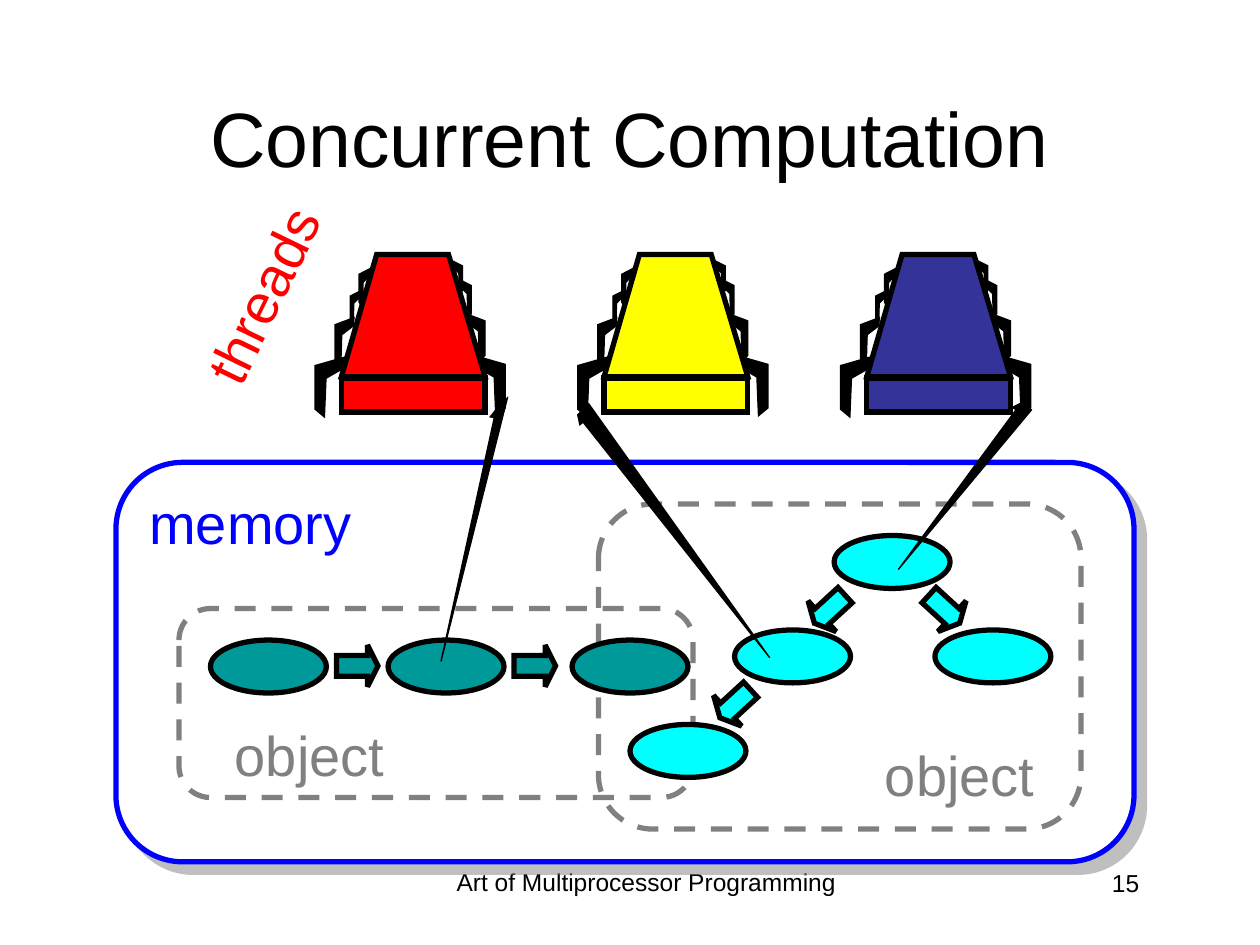
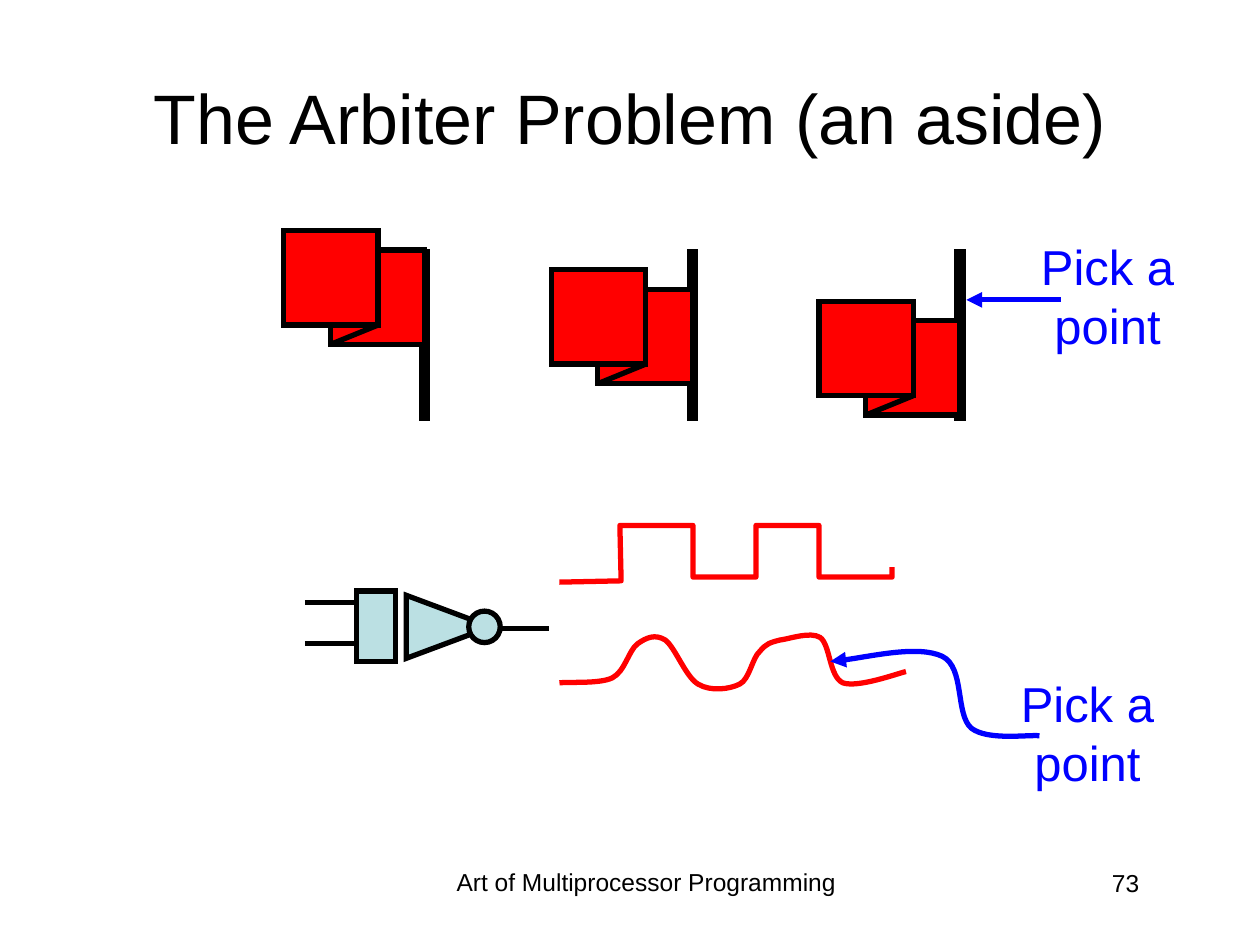
"""Builds two slides on concurrent computation and the arbiter problem."""
from lxml.etree import SubElement
from pptx import Presentation
from pptx.dml.color import RGBColor
from pptx.enum.dml import MSO_LINE
from pptx.enum.shapes import MSO_CONNECTOR, MSO_SHAPE as Preset
from pptx.enum.text import MSO_ANCHOR as Anchor, PP_ALIGN as Align
from pptx.oxml.ns import qn
from pptx.util import Inches, Pt

BLACK = RGBColor(0x00, 0x00, 0x00)
WHITE = RGBColor(0xFF, 0xFF, 0xFF)
RED = RGBColor(0xFF, 0x00, 0x00)
YELLOW = RGBColor(0xFF, 0xFF, 0x00)
NAVY = RGBColor(0x33, 0x33, 0x99)
BLUE = RGBColor(0x00, 0x00, 0xFF)
GRAY = RGBColor(0x80, 0x80, 0x80)
TEAL = RGBColor(0x00, 0x99, 0x99)
CYAN = RGBColor(0x00, 0xFF, 0xFF)
PALE_BLUE = RGBColor(0xBB, 0xE0, 0xE3)

FONT = "Arial"
FOOTER = "Art of Multiprocessor Programming"
THICK = 3

THREAD_COLORS = [RED, YELLOW, NAVY]
THREAD_LEFT, THREAD_TOP, THREAD_PITCH = 2.71, 2.02, 2.085
BODY_OUTLINE = [(0, 0.97), (0.28, 0), (0.85, 0), (1.14, 0.97)]
LEG_OUTLINE = [(0, 0), (1, 0.15), (1, 0.87), (0.7, 1), (0.65, 0.36), (0.05, 0.18)]
RIGHT_LEGS = [(1.05, 0.8, 0.25, 0.48), (0.99, 0.47, 0.15, 0.38),
              (0.94, 0.2, 0.09, 0.31), (0.88, 0.05, 0.08, 0.27)]
LEFT_LEGS = [(-0.21, 0.81, 0.25, 0.48), (-0.05, 0.5, 0.15, 0.38),
             (0.14, 0.11, 0.09, 0.31), (0.07, 0.29, 0.08, 0.27)]
REACHING_LEGS = [
    [(4.03, 3.15), (3.5, 5.25), (3.94, 3.24)],
    [(4.67, 3.2), (6.11, 5.22), (4.58, 3.29)],
    [(8.19, 3.25), (7.13, 4.52), (8.11, 3.19)],
]

OBJECT_BOXES = [(1.42, 4.83, 4.08, 1.5), (4.75, 4, 3.83, 2.58)]
LIST_NODES = [(1.67, 5.08), (3.08, 5.08), (4.54, 5.08)]
LIST_ARROWS = [(2.67, 5.12, 0), (4.08, 5.12, 0)]
TREE_NODES = [(7.42, 5), (6.62, 4.25), (5.83, 5), (5, 5.75)]
TREE_ARROWS = [(7.33, 4.67, 42.5), (6.42, 4.67, 137.5), (5.67, 5.42, 137.5)]
STRUCTURES = [(TEAL, LIST_NODES, LIST_ARROWS), (CYAN, TREE_NODES, TREE_ARROWS)]
MEMORY_LABELS = [
    ("memory", (1.08, 3.83, 1.81, 0.63), BLUE, 0),
    ("object", (1.75, 5.67, 1.4, 0.64), GRAY, 0),
    ("object", (6.91, 5.83, 1.4, 0.64), GRAY, 0),
    ("threads", (1.23, 2.03, 1.7, 0.64), RED, 295.9),
]

FLAG_LEFT, FLAG_PITCH, FLAG_SIZE = 2.25, 2.125, 0.75
FLAG_TOPS = [1.83, 2.14, 2.39]
FOLD_X, FOLD_Y = 0.37, 0.155
POLE_TOP = 1.99
GATE_WIRES = [((3.94, 4.99), (4.36, 4.99)), ((2.42, 4.78), (2.83, 4.78)),
              ((2.42, 5.11), (2.83, 5.11))]
GATE_PARTS = [(Preset.RECTANGLE, (2.83, 4.69, 0.31, 0.56), 0),
              (Preset.ISOSCELES_TRIANGLE, (3.31, 4.64, 0.5, 0.67), 90),
              (Preset.OVAL, (3.72, 4.85, 0.25, 0.25), 0)]
SQUARE_SIGNAL = [(4.44, 4.62), (4.93, 4.61), (4.92, 4.17), (5.5, 4.17),
                 (5.5, 4.58), (6, 4.58), (6, 4.17), (6.5, 4.17),
                 (6.5, 4.58), (7.08, 4.58), (7.08, 4.5)]
SMOOTH_SIGNAL = [
    (4.44, 5.42),
    (4.51, 5.41), (4.76, 5.43), (4.86, 5.38), (4.96, 5.33), (4.99, 5.16), (5.06, 5.11),
    (5.13, 5.06), (5.2, 5.03), (5.28, 5.08), (5.36, 5.14), (5.44, 5.37), (5.54, 5.43),
    (5.64, 5.49), (5.79, 5.47), (5.87, 5.43), (5.95, 5.39), (5.97, 5.22), (6.03, 5.17),
    (6.08, 5.11), (6.11, 5.1), (6.19, 5.08), (6.27, 5.07), (6.43, 5.01), (6.51, 5.06),
    (6.59, 5.12), (6.58, 5.37), (6.69, 5.42), (6.81, 5.46), (7.11, 5.35), (7.19, 5.33),
]
CURVED_POINTER = [(8.25, 5.84), (8.16, 5.83), (7.84, 5.88), (7.71, 5.78),
                  (7.58, 5.67), (7.66, 5.3), (7.48, 5.21),
                  (7.29, 5.12), (6.77, 5.24), (6.59, 5.25)]
POINT_LABELS = [(8, 1.83, 1.58, 1.03), (7.84, 5.3, 1.58, 1.03)]


def inches(values):
    return [Inches(value) for value in values]


def style(shape, fill, line=BLACK, width=THICK, dash=None, sharp=True):
    shape.shadow.inherit = False
    if fill is None:
        shape.fill.background()
    else:
        shape.fill.solid()
        shape.fill.fore_color.rgb = fill
    shape.line.color.rgb = line
    shape.line.width = Pt(width)
    if dash:
        shape.line.dash_style = dash
    if sharp:
        SubElement(shape.element.spPr.find(qn("a:ln")), qn("a:miter"), lim="800000")


def add_arrowhead(shape):
    SubElement(shape.element.spPr.find(qn("a:ln")), qn("a:tailEnd"), type="triangle")


def add_preset(slide, preset, box, fill, rotation=0, adjustments=(), **line_style):
    shape = slide.shapes.add_shape(preset, *inches(box))
    shape.rotation = rotation
    for index, value in enumerate(adjustments):
        shape.adjustments[index] = value
    style(shape, fill, **line_style)
    return shape


def add_outline(slide, points, fill=None, close=False, **line_style):
    start, *rest = [inches(point) for point in points]
    builder = slide.shapes.build_freeform(*start)
    builder.add_line_segments(rest, close=close)
    shape = builder.convert_to_shape()
    style(shape, fill, **line_style)
    return shape


def add_curve(slide, points, color):
    shape = add_outline(slide, points, line=color, sharp=False)
    segments = list(shape.element.iter(qn("a:lnTo")))
    for first in range(0, len(segments), 3):
        curve = SubElement(segments[first].getparent(), qn("a:cubicBezTo"))
        for segment in segments[first:first + 3]:
            curve.append(segment[0])
            segment.getparent().remove(segment)
    return shape


def add_line(slide, start, end, color=BLACK):
    connector = slide.shapes.add_connector(
        MSO_CONNECTOR.STRAIGHT, *inches(start), *inches(end))
    connector.line.color.rgb = color
    connector.line.width = Pt(THICK)
    SubElement(connector.element.spPr, qn("a:effectLst"))
    return connector


def add_text(slide, text, box, size, color=BLACK, align=Align.CENTER,
             anchor=Anchor.TOP, wrap=True, rotation=0):
    text_box = slide.shapes.add_textbox(*inches(box))
    text_box.rotation = rotation
    frame = text_box.text_frame
    frame.word_wrap = wrap
    frame.vertical_anchor = anchor
    paragraph = frame.paragraphs[0]
    paragraph.text = text
    paragraph.alignment = align
    paragraph.font.name = FONT
    paragraph.font.size = Pt(size)
    paragraph.font.color.rgb = color


def add_slide(presentation, title, title_box, title_size, number):
    slide = presentation.slides.add_slide(presentation.slide_layouts[6])
    add_text(slide, FOOTER, (3.42, 6.83, 3.42, 0.52), 14)
    add_text(slide, number, (7.06, 6.84, 2.08, 0.5), 14, align=Align.RIGHT)
    add_text(slide, title, title_box, title_size, anchor=Anchor.MIDDLE)
    return slide


def add_memory(slide):
    memory = add_preset(slide, Preset.ROUNDED_RECTANGLE, (0.92, 3.67, 8.08, 3.17),
                        WHITE, adjustments=[0.167], line=BLUE)
    shadow = SubElement(memory.element.spPr.find(qn("a:effectLst")), qn("a:outerShdw"),
                        blurRad="0", dist=str(Pt(8.5)), dir=str(45 * 60000),
                        algn="ctr", rotWithShape="0")
    color = SubElement(shadow, qn("a:srgbClr"), val=str(GRAY))
    SubElement(color, qn("a:alpha"), val="50000")


def add_thread(slide, left, color):
    for legs, mirrored in ((RIGHT_LEGS, False), (LEFT_LEGS, True)):
        for x, y, width, height in legs:
            points = [(left + x + width * (1 - across if mirrored else across),
                       THREAD_TOP + y + height * down) for across, down in LEG_OUTLINE]
            add_outline(slide, points, BLACK, close=True, width=0.75)
    body = [(left + x, THREAD_TOP + y) for x, y in BODY_OUTLINE]
    add_outline(slide, body, color, close=True)
    add_preset(slide, Preset.RECTANGLE, (left, THREAD_TOP + 0.98, 1.14, 0.27), color)


def add_flag(slide, left, top):
    back_left, back_top = left + FOLD_X, top + FOLD_Y
    square = (FLAG_SIZE, FLAG_SIZE)
    add_preset(slide, Preset.RECTANGLE, (left + 1.09, POLE_TOP, 0.06, 1.34), BLACK,
               width=2.25)
    add_preset(slide, Preset.RECTANGLE, (back_left, back_top, *square), RED)
    add_line(slide, (back_left, back_top + FLAG_SIZE),
             (left + FLAG_SIZE, top + FLAG_SIZE))
    add_preset(slide, Preset.RECTANGLE, (left, top, *square), RED)


def build_computation(presentation):
    slide = add_slide(presentation, "Concurrent Computation",
                      (0.75, 0.46, 8.5, 1.25), 44, "15")
    add_memory(slide)
    for box in OBJECT_BOXES:
        add_preset(slide, Preset.ROUNDED_RECTANGLE, box, None, adjustments=[0.167],
                   line=GRAY, dash=MSO_LINE.DASH)
    for color, nodes, arrows in STRUCTURES:
        for left, top in nodes:
            add_preset(slide, Preset.OVAL, (left, top, 0.92, 0.42), color)
        for left, top, rotation in arrows:
            add_preset(slide, Preset.RIGHT_ARROW, (left, top, 0.33, 0.33), color,
                       rotation, [0.5, 0.25])
    for index, color in enumerate(THREAD_COLORS):
        add_thread(slide, THREAD_LEFT + index * THREAD_PITCH, color)
    for points in REACHING_LEGS:
        add_arrowhead(add_outline(slide, points, BLACK, width=0.75))
    for text, box, color, rotation in MEMORY_LABELS:
        add_text(slide, text, box, 32, color, Align.RIGHT, wrap=False, rotation=rotation)


def build_arbiter(presentation):
    slide = add_slide(presentation, "The Arbiter Problem (an aside)",
                      (0.5, 0.3, 9, 1.25), 40, "73")
    for index, top in enumerate(FLAG_TOPS):
        add_flag(slide, FLAG_LEFT + index * FLAG_PITCH, top)
    for start, end in GATE_WIRES:
        add_line(slide, start, end)
    for preset, box, rotation in GATE_PARTS:
        add_preset(slide, preset, box, PALE_BLUE, rotation)
    add_outline(slide, SQUARE_SIGNAL, line=RED, sharp=False)
    add_curve(slide, SMOOTH_SIGNAL, RED)
    add_arrowhead(add_line(slide, (8.42, 2.38), (7.67, 2.38), BLUE))
    add_arrowhead(add_curve(slide, CURVED_POINTER, BLUE))
    for box in POINT_LABELS:
        add_text(slide, "Pick a point", box, 28, BLUE)


def main():
    presentation = Presentation()
    presentation.slide_width, presentation.slide_height = Inches(10), Inches(7.5)
    build_computation(presentation)
    build_arbiter(presentation)
    presentation.save("out.pptx")


if __name__ == "__main__":
    main()
